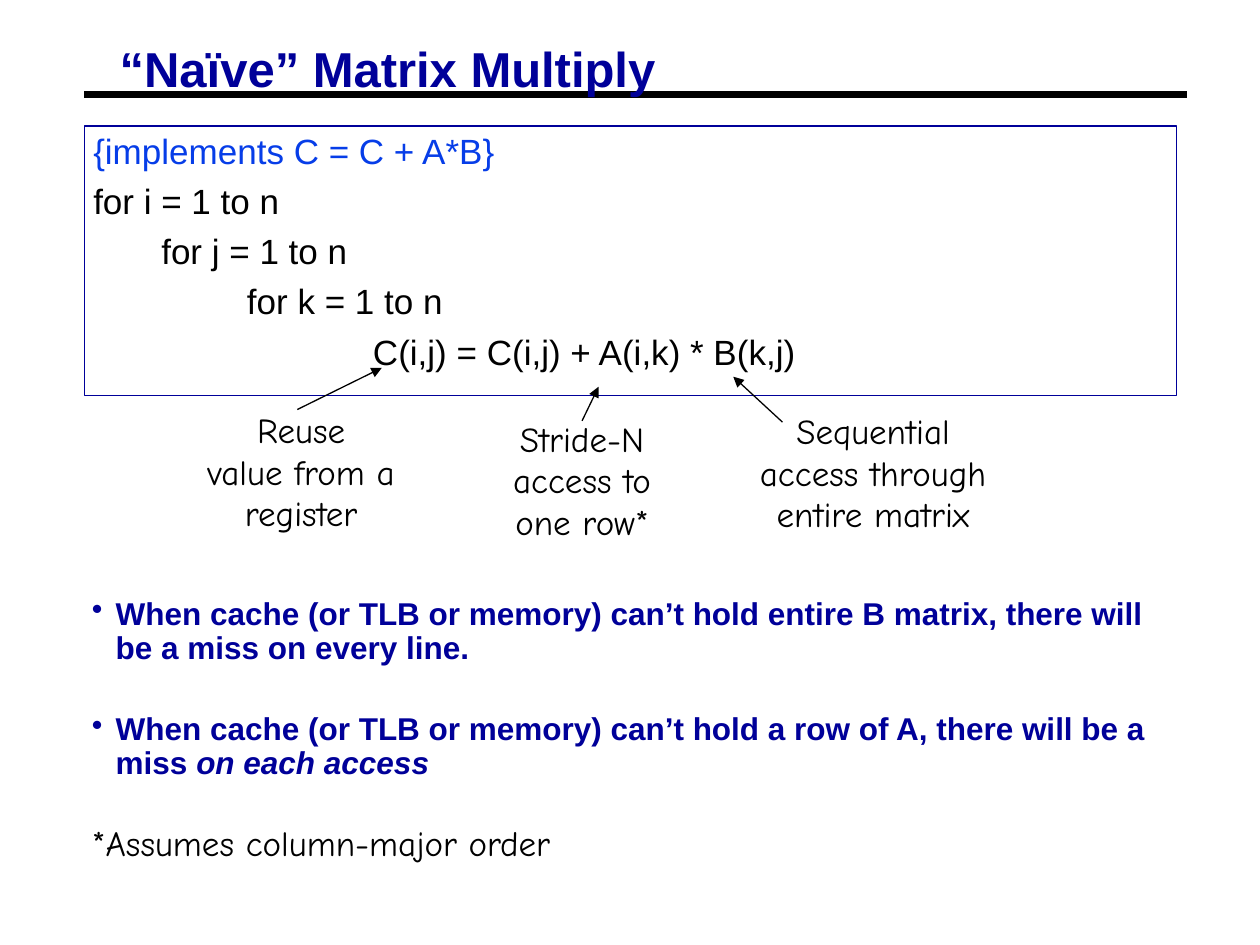
import pptx
import pptx.dml.color
import pptx.enum.shapes
import pptx.enum.text
import pptx.oxml.ns
import pptx.util
from lxml import etree

Inches = pptx.util.Inches
Pt = pptx.util.Pt
Align = pptx.enum.text.PP_ALIGN
qn = pptx.oxml.ns.qn

COLOURS = {"navy": "000099", "blue": "063DE8", "black": "000000"}
LATIN, HAND = "Arial", "Comic Neue"


def rgb(name):
    return pptx.dml.color.RGBColor.from_string(COLOURS[name])


def write(frame, text, *, first=False, size=20, font=LATIN, colour="black",
          bold=False, italic_tail="", align=Align.LEFT, line=1.0, before=0,
          indent=0, hang=0, bullet=None):
    """Write one paragraph; italic_tail is an italic ending of the text."""
    para = frame.paragraphs[0] if first else frame.add_paragraph()
    para.alignment = align
    para.line_spacing = line
    para.space_before = Pt(before)
    properties = para._p.get_or_add_pPr()
    properties.set("marL", str(Inches(indent)))
    properties.set("indent", str(-Inches(hang)))
    if bullet:
        etree.SubElement(properties, qn("a:buChar")).set("char", bullet)
    else:
        etree.SubElement(properties, qn("a:buNone"))
    for words, italic in ((text, False), (italic_tail, True)):
        if words:
            span = para.add_run()
            span.text = words
            span.font.size = Pt(size)
            span.font.name = font
            span.font.bold = bold
            span.font.italic = italic
            span.font.color.rgb = rgb(colour)


def set_up(box, place, side, top, wrap=True):
    """Place a box and give its text frame margins, top anchor and wrapping."""
    box.left, box.top, box.width, box.height = map(Inches, place)
    frame = box.text_frame
    frame.margin_left = frame.margin_right = Inches(side)
    frame.margin_top = frame.margin_bottom = Inches(top)
    frame.vertical_anchor = pptx.enum.text.MSO_ANCHOR.TOP
    frame.auto_size = pptx.enum.text.MSO_AUTO_SIZE.NONE
    frame.word_wrap = wrap
    return frame


def add_text_box(page, place, wrap=True):
    box = page.shapes.add_textbox(*map(Inches, place))
    return set_up(box, place, 0.1, 0.05, wrap)


def add_line(page, start, end, width, arrow=False):
    line = page.shapes.add_connector(
        pptx.enum.shapes.MSO_CONNECTOR.STRAIGHT, *map(Inches, start + end))
    line.line.color.rgb = rgb("black")
    line.line.width = Pt(width)
    if arrow:
        etree.SubElement(line.line._get_or_add_ln(),
                         qn("a:tailEnd")).set("type", "triangle")
    etree.SubElement(line._element.spPr, qn("a:effectLst"))
    return line


def add_callout(page, place, lines, start, end):
    """A centred note with an arrow to the part of the code it explains."""
    frame = add_text_box(page, place, wrap=False)
    for number, text in enumerate(lines):
        write(frame, text, first=number == 0, font=HAND,
              align=Align.CENTER, line=0.75, before=5.75)
    add_line(page, start, end, 0.75, arrow=True)


def add_title(page):
    # The rule lies behind the title
    rule = add_line(page, (0.67, 0.75), (9.42, 0.75), 3.75)
    page.shapes._spTree.insert(2, rule._element)
    frame = set_up(page.shapes.title, (0.88, 0.34, 4.4, 0.46),
                   0.07, 0.03, wrap=False)
    write(frame, "“Naïve” Matrix Multiply", first=True, size=28,
          colour="navy", bold=True, line=0.87)


def add_code(page):
    box = page.placeholders[1]
    frame = set_up(box, (0.67, 1, 8.67, 2.14), 0.07, 0.03)
    box.line.color.rgb = rgb("navy")
    box.line.width = Pt(0.75)
    code = [
        ("{implements C = C + A*B}", 0, "blue"),
        ("for i = 1 to n", 0, "black"),
        ("for j = 1 to n", 0.54, "black"),
        ("for k = 1 to n", 1.22, "black"),
        ("C(i,j) = C(i,j) + A(i,k) * B(k,j)", 2.22, "black"),
    ]
    for number, (text, indent, colour) in enumerate(code):
        write(frame, text, first=number == 0, colour=colour,
              indent=indent, before=4.6)


def add_notes_on_misses(page):
    frame = add_text_box(page, (0.63, 4.7, 8.65, 2.2))
    bullet = dict(size=18, colour="navy", bold=True, line=0.9,
                  indent=0.19, hang=0.19, bullet="•")
    write(frame, "When cache (or TLB or memory) can’t hold entire B matrix, "
          "there will be a miss on every line.", first=True, before=4.1, **bullet)
    write(frame, "When cache (or TLB or memory) can’t hold a row of A, "
          "there will be a miss ", italic_tail="on each access",
          before=27, **bullet)
    write(frame, "*Assumes column-major order", font=HAND, line=0.75,
          before=28.5)


def main():
    deck = pptx.Presentation()
    deck.slide_width, deck.slide_height = Inches(10), Inches(7.5)
    page = deck.slides.add_slide(deck.slide_layouts[1])

    add_title(page)
    add_code(page)

    # Notes on how each matrix is accessed
    add_callout(page, (1.54, 3.27, 1.7, 0.99),
                ["Reuse", "value from a", "register"],
                (2.36, 3.25), (3.03, 2.92))
    add_callout(page, (3.97, 3.34, 1.3, 0.99),
                ["Stride-N", "access to", "one row*"],
                (4.62, 3.34), (4.75, 3.07))
    add_callout(page, (5.93, 3.28, 2, 0.99),
                ["Sequential", "access through", "entire matrix"],
                (6.21, 3.35), (5.82, 2.99))

    add_notes_on_misses(page)
    deck.save("out.pptx")


if __name__ == "__main__":
    main()
